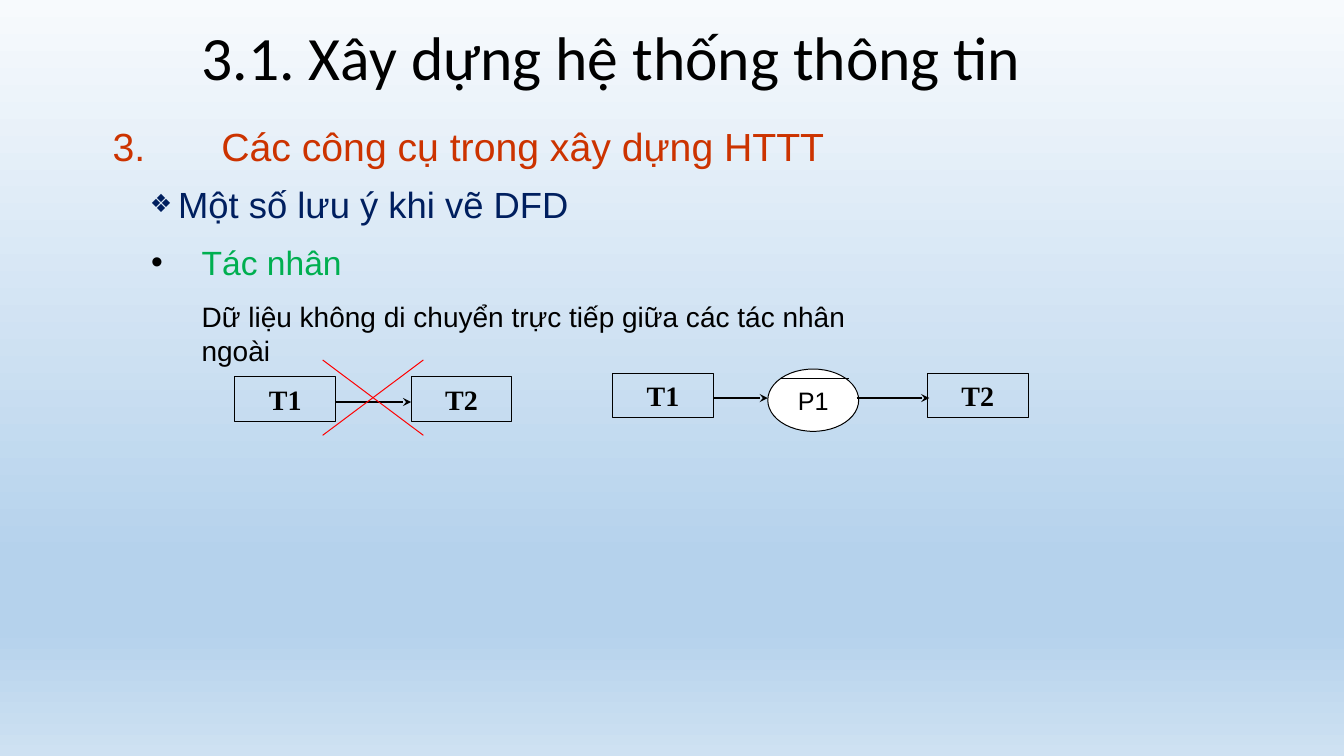
from dataclasses import dataclass

from lxml.etree import SubElement
from pptx import Presentation
from pptx.dml.color import RGBColor
from pptx.enum.shapes import MSO_CONNECTOR as Connector, MSO_SHAPE as Preset
from pptx.enum.text import MSO_ANCHOR as Anchor, MSO_AUTO_SIZE as AutoSize, PP_ALIGN as Align
from pptx.oxml.ns import qn
from pptx.util import Cm, Pt

BLACK, WHITE, RED = "000000", "FFFFFF", "FF0000"
THIN, ARROW = 0.72, 1.4
BOX_WIDTH, BOX_HEIGHT = 2.54, 1.12
BACKGROUND = [(0, "F7FAFD"), (74, "B5D2EC"), (83, "B5D2EC"), (100, "CEE1F2")]


@dataclass
class Item:
    """One line of the list; lengths in cm, sizes in points."""
    text: str
    size: int
    color: str
    left: float
    hanging: float
    space: float
    bullet: tuple[tuple[str, dict[str, str]], ...]


@dataclass
class Node:
    """A labelled shape of the data flow diagrams, in cm."""
    label: str
    left: float
    top: float
    width: float = BOX_WIDTH
    height: float = BOX_HEIGHT
    preset: Preset = Preset.RECTANGLE
    font: str = "Times New Roman"
    size: int = 20
    bold: bool = True
    fill: str | None = None


@dataclass
class Line:
    """A straight line between two points, in cm."""
    start: tuple[float, float]
    end: tuple[float, float]
    color: str = BLACK
    width: float = THIN
    arrow: bool = False


ITEMS = [
    Item("Các công cụ trong xây dựng HTTT", 28, "CC3300", 2.79, 2.74, 11,
         (("a:buAutoNum", {"type": "arabicPeriod", "startAt": "3"}),)),
    Item("Một số lưu ý khi vẽ DFD", 26, "001F5F", 1.7, 0.71, 9.4,
         (("a:buSzPct", {"val": "69000"}), ("a:buChar", {"char": "❖"}))),
    Item("Tác nhân", 24, "00AF50", 2.29, 1.27, 11.7,
         (("a:buClr", {}), ("a:buChar", {"char": "•"}))),
    Item("Dữ liệu không di chuyển trực tiếp giữa các tác nhân ngoài", 20, BLACK,
         2.29, 0, 12.4, (("a:buNone", {}),)),
]
NODES = [
    Node("T1", 5.92, 9.5),
    Node("T2", 10.36, 9.5),
    Node("T1", 15.44, 9.4),
    Node("P1", 19.35, 9.3, 2.29, 1.57, Preset.OVAL, "Arial", 18, False, WHITE),
    Node("T2", 23.37, 9.4),
]
LINES = [
    Line((8.46, 10.13), (10.36, 10.13), width=ARROW, arrow=True),
    Line((17.98, 10.03), (19.35, 10.03), width=ARROW, arrow=True),
    Line((21.59, 10.03), (23.42, 10.03), width=ARROW, arrow=True),
    Line((19.66, 9.55), (21.39, 9.55)),
    Line((8.13, 9.07), (10.67, 10.97), RED),
    Line((8.13, 10.97), (10.67, 9.07), RED),
]


def rgb(color: str) -> RGBColor:
    """Turn a hex string into a colour."""
    return RGBColor.from_string(color)


def set_font(paragraph, name: str, size: int, color: str, bold: bool = False) -> None:
    """Format the whole paragraph."""
    font = paragraph.font
    font.name, font.size, font.bold = name, Pt(size), bold
    font.color.rgb = rgb(color)


def set_frame(frame, top: float = 0, anchor: Anchor = Anchor.MIDDLE) -> None:
    """Give a text frame its insets, anchor and fixed size."""
    frame.margin_left = frame.margin_right = frame.margin_bottom = 0
    frame.margin_top = Cm(top)
    frame.vertical_anchor = anchor
    frame.auto_size = AutoSize.NONE
    frame.word_wrap = True


def place(shape, left: float, top: float, width: float, height: float) -> None:
    """Move and size a shape, in cm."""
    shape.left, shape.top, shape.width, shape.height = map(Cm, (left, top, width, height))


def paint_background(slide) -> None:
    """Fill the slide with a vertical gradient."""
    fill = slide.background.fill
    fill.gradient()
    fill.gradient_angle = 270
    stops = slide.element.find(".//" + qn("a:gsLst"))
    stops.clear()
    for percent, color in BACKGROUND:
        stop = SubElement(stops, qn("a:gs"), pos=str(percent * 1000))
        SubElement(stop, qn("a:srgbClr"), val=color)


def add_item(paragraph, item: Item) -> None:
    """Write one list line with its bullet and indent."""
    paragraph.text = item.text
    paragraph.space_before = Pt(item.space)
    properties = paragraph._p.get_or_add_pPr()
    properties.set("marL", str(Cm(item.left)))
    properties.set("indent", str(Cm(-item.hanging)))
    for tag, attributes in item.bullet:
        element = SubElement(properties, qn(tag), attributes)
        if tag == "a:buClr":
            SubElement(element, qn("a:srgbClr"), val=BLACK)
    set_font(paragraph, "Arial", item.size, item.color)


def add_node(slide, node: Node) -> None:
    """Draw an outlined shape with a centred label."""
    shape = slide.shapes.add_shape(
        node.preset, *map(Cm, (node.left, node.top, node.width, node.height)))
    shape.shadow.inherit = False
    shape.line.color.rgb, shape.line.width = rgb(BLACK), Pt(THIN)
    if node.fill:
        shape.fill.solid()
        shape.fill.fore_color.rgb = rgb(node.fill)
    else:
        shape.fill.background()
    set_frame(shape.text_frame)
    paragraph = shape.text_frame.paragraphs[0]
    paragraph.text, paragraph.alignment = node.label, Align.CENTER
    set_font(paragraph, node.font, node.size, BLACK, node.bold)


def add_line(slide, line: Line) -> None:
    """Draw a line, with an arrowhead where asked."""
    connector = slide.shapes.add_connector(
        Connector.STRAIGHT, *map(Cm, (*line.start, *line.end)))
    connector.line.color.rgb, connector.line.width = rgb(line.color), Pt(line.width)
    if line.arrow:
        SubElement(connector.line._get_or_add_ln(), qn("a:tailEnd"), type="stealth")
    SubElement(connector._element.spPr, qn("a:effectLst"))


presentation = Presentation()
presentation.slide_width, presentation.slide_height = Cm(33.87), Cm(19.05)
slide = presentation.slides.add_slide(presentation.slide_layouts[1])
paint_background(slide)

title, body = slide.placeholders
place(title, 5.08, 0.46, 21.82, 1.9)
set_frame(title.text_frame)
heading = title.text_frame.paragraphs[0]
heading.text, heading.alignment = "3.1. Xây dựng hệ thống thông tin", Align.LEFT
set_font(heading, "Calibri", 44, BLACK)

place(body, 2.79, 2.69, 20.42, 5.77)
set_frame(body.text_frame, 0.38, Anchor.TOP)
for index, item in enumerate(ITEMS):
    frame = body.text_frame
    add_item(frame.add_paragraph() if index else frame.paragraphs[0], item)

for node in NODES:
    add_node(slide, node)
for line in LINES:
    add_line(slide, line)

presentation.save("out.pptx")
